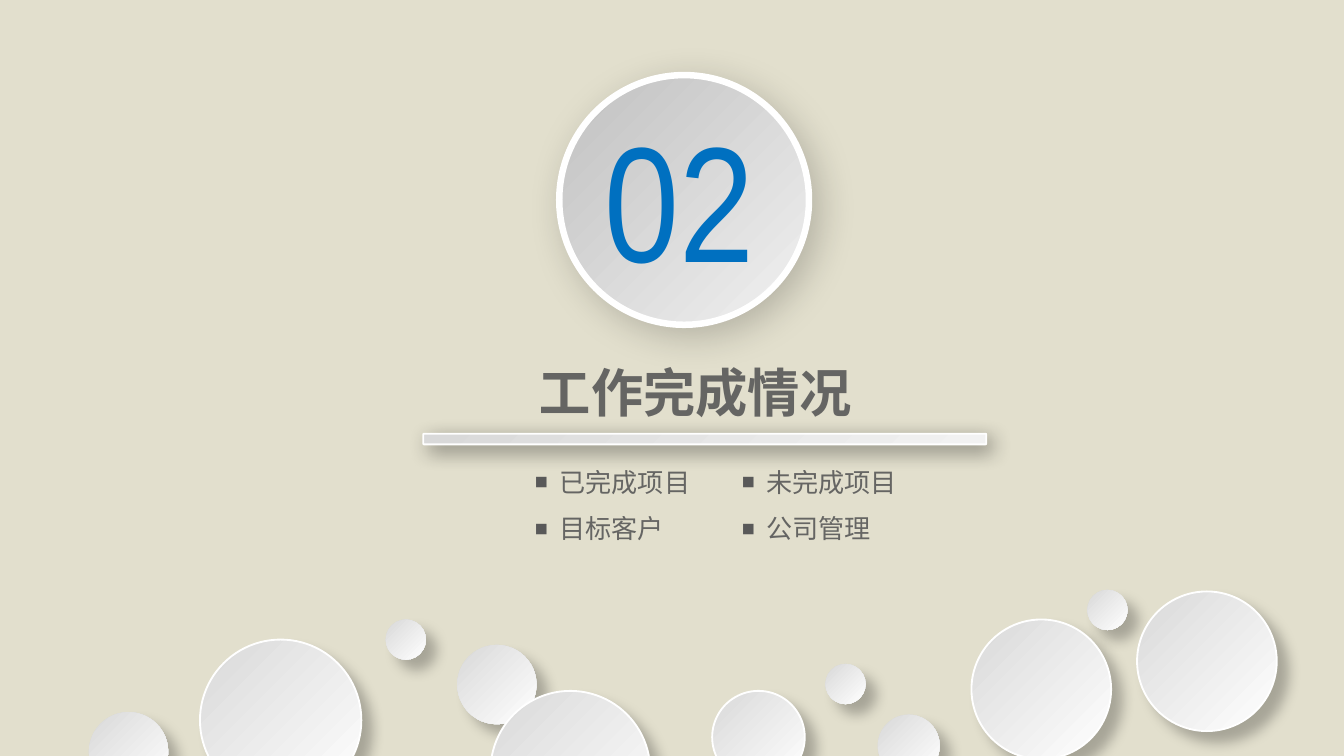
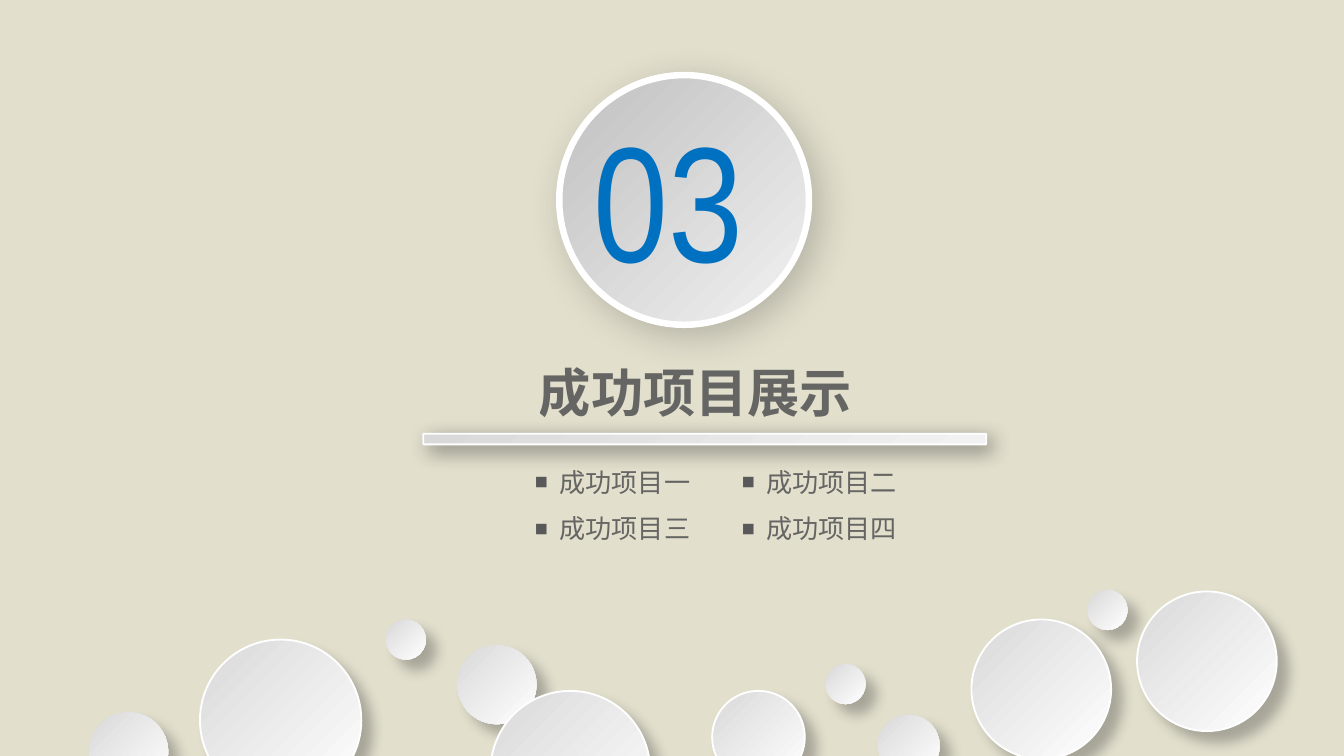
from dataclasses import dataclass

from lxml.etree import SubElement
from pptx import Presentation
from pptx.dml.color import RGBColor
from pptx.enum.shapes import MSO_SHAPE as Shp
from pptx.enum.text import MSO_ANCHOR as Anchor, MSO_AUTO_SIZE as Auto, PP_ALIGN as Align
from pptx.oxml.ns import qn
from pptx.util import Cm, Pt

# Shared look
SAND, GREY, BLUE, WHITE = "C4BD97", "595959", "0070C0", "FFFFFF"
CJK, NARROW = "Noto Sans CJK SC", "Arial Narrow"


@dataclass(frozen=True)
class Box:
    x: float
    y: float
    w: float
    h: float

    def lengths(self) -> tuple:
        return Cm(self.x), Cm(self.y), Cm(self.w), Cm(self.h)


@dataclass(frozen=True)
class Finish:
    """Gradient, outline width and shadow (opacity %, blur pt, distance pt)."""
    start: str
    end: str
    line: float
    shadow: tuple


@dataclass(frozen=True)
class Bubble:
    x: float
    y: float
    size: float

    @property
    def outline(self) -> float:
        return 1 if self.size > 1.6 else 0


@dataclass(frozen=True)
class Section:
    number: str
    title: str
    items: tuple
    number_box: Box


BAR = Box(8, 8.2, 10.64, 0.2)
DISC = Box(10.57, 1.42, 4.72, 4.72)
TITLE = Box(9.93, 6.68, 6.5, 1.45)
LIST = Box(10.11, 8.69, 3.6, 1.95)
COLUMN_STEP = 3.91
BAR_FINISH = Finish("D9D9D9", "F2F2F2", 1, (45, 11, 4))
DISC_FINISH = Finish("BFBFBF", "F2F2F2", 3.5, (20, 20, 6))
BUBBLE_SHADOW = (25, 7, 8)

BUBBLES = (
    Bubble(1.68, 13.46, 1.5), Bubble(8.64, 12.19, 1.5), Bubble(13.46, 13.06, 1.75),
    Bubble(9.27, 13.06, 3.02), Bubble(3.78, 12.09, 3.05), Bubble(20.55, 11.15, 0.76),
    Bubble(18.36, 11.71, 2.64), Bubble(16.59, 13.51, 1.17), Bubble(21.49, 11.18, 2.64),
    Bubble(7.29, 11.71, 0.76), Bubble(15.6, 12.55, 0.76),
)

SECTIONS = (
    Section("02", "工作完成情况", ("已完成项目", "未完成项目", "目标客户", "公司管理"),
            Box(11.18, 1.73, 3.76, 4.01)),
    Section("03", "成功项目展示", ("成功项目一", "成功项目二", "成功项目三", "成功项目四"),
            Box(10.97, 1.73, 4.06, 4.01)),
)


def rgb(value: str) -> RGBColor:
    return RGBColor.from_string(value)


def set_alpha(element, percent: int) -> None:
    for clr in element.iter(qn("a:srgbClr")):
        SubElement(clr, qn("a:alpha"), val=str(percent * 1000))


def add_shape(s, kind: Shp, box: Box, finish: Finish):
    sp = s.shapes.add_shape(kind, *box.lengths())
    sp.fill.gradient()
    sp.fill.gradient_angle = 315
    for stop, color in zip(sp.fill.gradient_stops, (finish.start, finish.end)):
        stop.color.rgb = rgb(color)
    if finish.line:
        sp.line.color.rgb = rgb(WHITE)
        sp.line.width = Pt(finish.line)
    else:
        sp.line.fill.background()
    # Soft shadow towards the lower right
    sp.shadow.inherit = False
    opacity, blur, dist = finish.shadow
    effects = sp._element.spPr.find(qn("a:effectLst"))
    outer = SubElement(effects, qn("a:outerShdw"), blurRad=str(Pt(blur)), dist=str(Pt(dist)),
                       dir="2700000", algn="tl", rotWithShape="0")
    SubElement(outer, qn("a:srgbClr"), val="000000")
    set_alpha(outer, opacity)
    return sp


def write(p, text: str, *, size: float, font: str = CJK, color: str = GREY,
          bold: bool = False, alpha: int = 100) -> None:
    p.alignment = Align.LEFT
    r = p.add_run()
    r.text = text
    r.font.size, r.font.name, r.font.bold = Pt(size), font, bold
    r.font.color.rgb = rgb(color)
    rPr = r._r.get_or_add_rPr()
    SubElement(rPr, qn("a:ea"), typeface=font)
    if alpha < 100:
        set_alpha(rPr, alpha)


def place(sp, box: Box, *, wrap: bool, auto: Auto):
    sp.left, sp.top, sp.width, sp.height = box.lengths()
    tf = sp.text_frame
    tf.word_wrap, tf.auto_size, tf.vertical_anchor = wrap, auto, Anchor.TOP
    return tf


def add_bullet(p) -> None:
    pPr = p._p.get_or_add_pPr()
    pPr.set("marL", str(Cm(0.46)))
    pPr.set("indent", str(-Cm(0.46)))
    SubElement(SubElement(pPr, qn("a:buClr")), qn("a:srgbClr"), val=GREY)
    SubElement(pPr, qn("a:buSzPct"), val="50000")
    SubElement(pPr, qn("a:buFont"), typeface=CJK)
    SubElement(pPr, qn("a:buChar"), char="■")


def fill_list(sp, box: Box, items: tuple) -> None:
    tf = place(sp, box, wrap=True, auto=Auto.NONE)
    tf.margin_left = tf.margin_right = 0
    for i, item in enumerate(items):
        p = tf.add_paragraph() if i else tf.paragraphs[0]
        add_bullet(p)
        p.space_before = Pt(8 if i else 0)
        write(p, item, size=14, alpha=91)


def add_section(prs, section: Section) -> None:
    s = prs.slides.add_slide(prs.slide_layouts[3])
    s.background.fill.solid()
    s.background.fill.fore_color.rgb = rgb(SAND)
    set_alpha(s._element.find(".//" + qn("p:bg")), 48)

    # Number on its disc, above the bar
    bar = add_shape(s, Shp.ROUNDED_RECTANGLE, BAR, BAR_FINISH)
    bar.adjustments[0] = 0.08
    add_shape(s, Shp.OVAL, DISC, DISC_FINISH)
    number = s.shapes.add_textbox(*section.number_box.lengths())
    tf = place(number, section.number_box, wrap=True, auto=Auto.SHAPE_TO_FIT_TEXT)
    write(tf.paragraphs[0], section.number, size=88, font=NARROW, color=BLUE)

    # Title and two-column list, read row by row
    tf = place(s.shapes.title, TITLE, wrap=False, auto=Auto.SHAPE_TO_FIT_TEXT)
    write(tf.paragraphs[0], section.title, size=28, bold=True, alpha=91)
    for col in range(2):
        box = Box(LIST.x + col * COLUMN_STEP, LIST.y, LIST.w, LIST.h)
        fill_list(s.placeholders[col + 1], box, section.items[col::2])

    # Bubbles along the foot
    for b in BUBBLES:
        finish = Finish("D9D9D9", WHITE, b.outline, BUBBLE_SHADOW)
        add_shape(s, Shp.OVAL, Box(b.x, b.y, b.size, b.size), finish)


def main() -> None:
    prs = Presentation()
    prs.slide_width, prs.slide_height = Cm(25.4), Cm(14.29)
    for section in SECTIONS:
        add_section(prs, section)
    prs.save("out.pptx")


if __name__ == "__main__":
    main()
